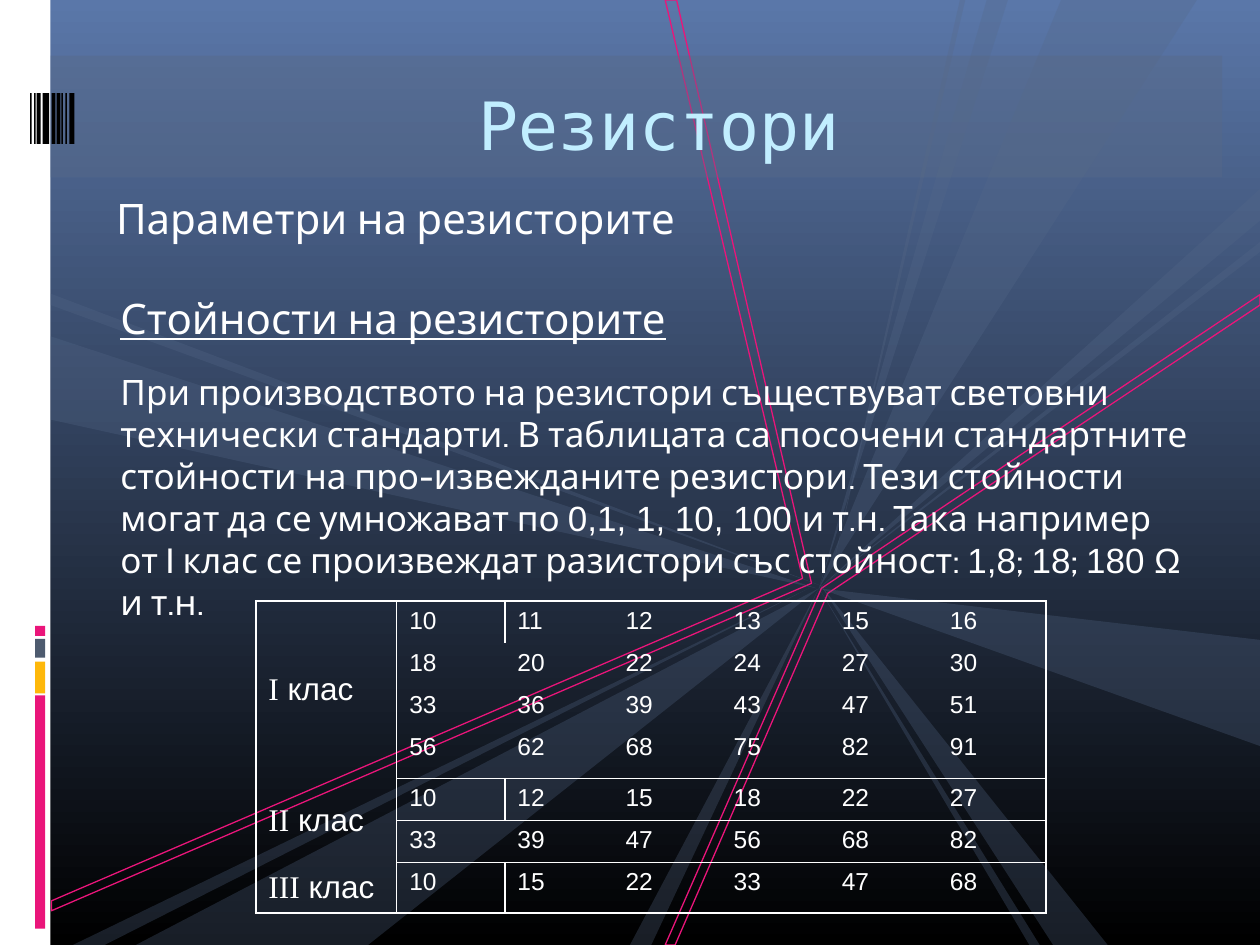
import pptx
import pptx.util
import pptx.dml.color
import pptx.enum.shapes
import pptx.enum.text
import pptx.oxml
import pptx.oxml.ns
from lxml import etree

Cm = pptx.util.Cm
Pt = pptx.util.Pt
qn = pptx.oxml.ns.qn
TEXT = pptx.enum.text

HUES = {
    "sky": "5A77A9", "black": "000000", "white": "FFFFFF", "pink": "EA157A",
    "gold": "FEB80A", "slate": "4E5B6F", "ray": "556989", "haze": "586986",
    "ice": "C1EEFF",
}
TITLE = {"size": Pt(38), "name": "DejaVu Sans Mono"}
HEAD = {"size": Pt(24), "name": "Cabin"}
UNDER = {**HEAD, "underline": True}
BODY = {"size": Pt(20), "name": "Cabin"}
DIGIT = {**BODY, "name": "Arial"}
VALUE = {"size": Pt(14), "name": "Arial"}
ROMAN = {"size": Pt(18), "name": "Times New Roman"}
CLASS = {"size": Pt(18), "name": "Arial"}

THICK, THIN = 1.08, 0.75
GROUPS = [
    ("I", ["10 11 12 13 15 16", "18 20 22 24 27 30",
           "33 36 39 43 47 51", "56 62 68 75 82 91"]),
    ("II", ["10 12 15 18 22 27", "33 39 47 56 68 82"]),
    ("III", ["10 15 22 33 47 68"]),
]


def color(name):
    return pptx.dml.color.RGBColor.from_string(HUES[name])


def apply(item, vals):
    for key, val in vals.items():
        setattr(item, key, val)


def paint(shape, hue, alpha=None):
    shape.shadow.inherit = False
    shape.fill.solid()
    shape.fill.fore_color.rgb = color(hue)
    shape.line.fill.background()
    if alpha:
        tint = shape._element.spPr.find(".//" + qn("a:srgbClr"))
        etree.SubElement(tint, qn("a:alpha")).set("val", str(alpha * 1000))


def rect(slide, box, hue, alpha=None):
    kind = pptx.enum.shapes.MSO_SHAPE.RECTANGLE
    shape = slide.shapes.add_shape(kind, *map(Cm, box))
    paint(shape, hue, alpha)


def outline(slide, box, points):
    spots = [(Cm(box[0] + x), Cm(box[1] + y)) for x, y in points]
    form = slide.shapes.build_freeform(*spots[0], scale=1.0)
    form.add_line_segments(spots[1:], close=True)
    return form.convert_to_shape()


def stripes(slide, box):
    left, top, wide, high = box
    rect(slide, box, "white")
    for y, size, hue in [(14.02, 4.7, "pink"), (13.34, 0.64, "gold"),
                         (12.88, 0.38, "slate"), (12.62, 0.2, "pink")]:
        rect(slide, (left + 0.71, top + y, 0.2, size), hue)


def barcode(slide, box):
    left, top, wide, high = box
    for x, size in [(0, 0.03), (0.08, 0.03), (0.13, 0.08), (0.25, 0.13),
                    (0.43, 0.08), (0.53, 0.08), (0.63, 0.03), (0.71, 0.03),
                    (0.79, 0.1)]:
        rect(slide, (left + x, top, size, high), "black")


def rays(slide, box):
    wide, high = box[2:]
    for points in [
        [(13.41, high), (16.56, 11.86), (wide, 5.94), (wide, 6.15),
         (16.69, 11.96), (13.61, high)],
        [(1.04, 18.16), (1.04, 18.36), (16.36, 11.76), (13.64, 0),
         (13.41, 0), (16.18, 11.66)],
    ]:
        beam = outline(slide, box, points)
        beam.shadow.inherit = False
        beam.fill.background()
        beam.line.color.rgb = color("pink")
        beam.line.width = Pt(0.75)

    hub, edge = (16.51, 11.86), 1.02
    for tip, start, end, hue in [
        ((16.76, 11.56), (19.35, 0), (19.46, 0), "haze"),
        (hub, (21.39, 0), (24.13, 0), "ray"),
        (hub, (wide, 12.9), (wide, 15.04), "ray"),
        (hub, (19.89, 0), (20.32, 0), "ray"),
        ((16.54, 11.79), (21.23, high), (22.33, high), "ray"),
        (hub, (20.75, high), (20.96, high), "ray"),
        (hub, (wide, 3.81), (wide, 4.45), "ray"),
        (hub, (wide, 4.88), (wide, 5.08), "ray"),
        (hub, (2.74, high), (7.42, high), "ray"),
        ((16.31, 11.86), (1.47, high), (2.11, high), "ray"),
        ((16.46, 11.86), (edge, 6.78), (edge, 8.46), "ray"),
        ((16.69, 11.86), (edge, 5.92), (edge, 6.15), "ray"),
        (hub, (12.7, high), (13.13, high), "haze"),
    ]:
        paint(outline(slide, box, [tip, start, end]), hue, 29)


def write(para, runs, hue="white"):
    for words, style in runs:
        run = para.add_run()
        run.text = words
        apply(run.font, style)
        run.font.color.rgb = color(hue)


def frame(shape, tops=0.13, grow=False):
    fit = TEXT.MSO_AUTO_SIZE
    apply(shape.text_frame, {
        "word_wrap": True, "vertical_anchor": TEXT.MSO_ANCHOR.TOP,
        "auto_size": fit.SHAPE_TO_FIT_TEXT if grow else fit.NONE,
        "margin_left": Cm(0.25), "margin_right": Cm(0.25),
        "margin_top": Cm(tops), "margin_bottom": Cm(0.13),
    })
    return shape.text_frame.paragraphs[0]


def title(slide, box):
    shape = slide.shapes.title
    slide.shapes._spTree.append(shape._element)
    apply(shape, dict(zip(("left", "top", "width", "height"), map(Cm, box))))
    para = frame(shape, 0.28)
    para.alignment = TEXT.PP_ALIGN.CENTER
    write(para, [("Резистори", TITLE)], "ice")


def text(slide, box, runs, grow=True):
    shape = slide.shapes.add_textbox(*map(Cm, box))
    write(frame(shape, grow=grow), runs)
    return shape


def border(cell, sides):
    props = cell._tc.get_or_add_tcPr()
    for side in "LRTB":
        if side in sides:
            line = etree.SubElement(props, qn("a:ln" + side))
            line.set("w", str(Pt(sides[side])))
            fill = etree.SubElement(line, qn("a:solidFill"))
            etree.SubElement(fill, qn("a:srgbClr")).set("val", HUES["white"])


def fill(cell, runs, sides, space):
    border(cell, sides)
    cell.fill.background()
    apply(cell, {"margin_left": Cm(0.25), "margin_right": Cm(0.25),
                 "margin_top": Cm(0.15), "margin_bottom": Cm(0.13)})
    para = cell.text_frame.paragraphs[0]
    para.line_spacing = space
    write(para, runs)


def table(slide, box):
    count = sum(len(rows) for name, rows in GROUPS)
    grid = slide.shapes.add_table(count, 7, *map(Cm, box)).table
    apply(grid, {"first_row": False, "horz_banding": False})
    style = grid._tbl.tblPr.find(qn("a:tableStyleId"))
    style.text = "{2D5ABB26-0587-4C30-8999-92F81FD0307C}"
    for col, size in zip(grid.columns, [2.84] + [2.18] * 6):
        col.width = Cm(size)
    for row, size in zip(grid.rows, [0.85] * 3 + [1.02] + [0.85] * 2 + [1.02]):
        row.height = Cm(size)

    first = 0
    for name, rows in GROUPS:
        last = first + len(rows) - 1
        upper = {"T": THIN if first else THICK}
        lower = {"B": THICK if last == count - 1 else THIN}
        head = grid.cell(first, 0)
        if last > first:
            head.merge(grid.cell(last, 0))
        sides = {"L": THICK, "R": THIN}
        if first == 0:
            sides.update(upper)
        if last == count - 1:
            sides.update(lower)
        fill(head, [(name, ROMAN), (" клас", CLASS)], sides, 0.95)
        head.vertical_anchor = TEXT.MSO_ANCHOR.MIDDLE
        for r, line in enumerate(rows, first):
            for c, value in enumerate(line.split(), 1):
                sides = {**(upper if r == first else {}),
                         **(lower if r == last else {})}
                if c == 1 and r == first:
                    sides["L"] = THIN
                if c == 6:
                    sides["R"] = THICK
                fill(grid.cell(r, c), [(value, VALUE)], sides, 0.93)
        first = last + 1


def main():
    deck = pptx.Presentation()
    apply(deck, {"slide_width": Cm(25.4), "slide_height": Cm(19.05)})
    slide = deck.slides.add_slide(deck.slide_layouts[5])
    back = slide.background.fill
    back.gradient()
    back.gradient_angle = 270
    for stop, hue in zip(back.gradient_stops, ("sky", "black")):
        stop.color.rgb = color(hue)

    stripes(slide, (0, 0, 1.02, 19.05))
    rays(slide, (0, 0, 25.4, 19.05))
    rect(slide, (1.02, 1.12, 23.62, 2.46), "haze", 40)
    barcode(slide, (0.61, 1.88, 0.89, 1.02))
    title(slide, (1.96, 1.42, 22.66, 2.16))
    topic = text(slide, (1.96, 3.76, 20.47, 1.6),
                 [("Параметри на резисторите", HEAD)], False)
    apply(topic.text_frame, {"margin_left": Cm(0.38), "margin_bottom": 0})
    text(slide, (2.18, 5.77, 20.24, 1.27),
         [("Стойности на резисторите", UNDER)])
    text(slide, (2.18, 7.34, 22.02, 4.5), [
        ("При производството на резистори съществуват световни технически "
         "стандарти. В таблицата са посочени стандартните стойности на "
         "про-извежданите резистори. Тези стойности могат да се умножават "
         "по ", BODY),
        ("0,1, 1, 10, 100 ", DIGIT),
        ("и т.н. Така например от I клас се произвеждат разистори със "
         "стойност: ", BODY),
        ("1,8", DIGIT), ("; ", BODY), ("18", DIGIT), ("; ", BODY),
        ("180 Ω", DIGIT), (" и т.н.", BODY),
    ])
    table(slide, (5.16, 12.12, 15.92, 6.29))
    deck.save("out.pptx")


if __name__ == "__main__":
    main()
